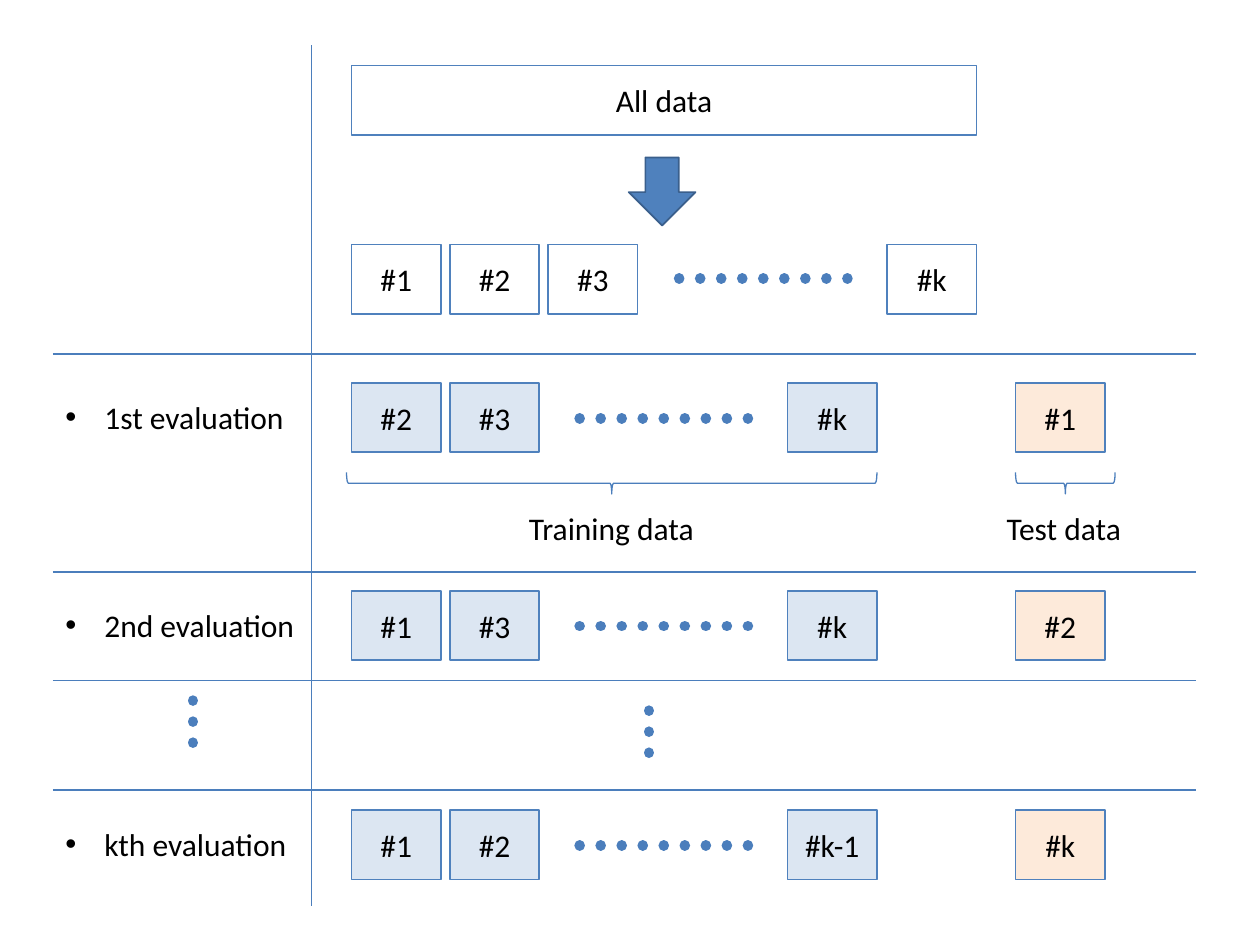
from pptx import Presentation
from pptx.dml.color import RGBColor
from pptx.enum.dml import MSO_LINE
from pptx.enum.shapes import MSO_CONNECTOR, MSO_SHAPE
from pptx.enum.text import MSO_ANCHOR, MSO_AUTO_SIZE, PP_ALIGN
from pptx.oxml.ns import qn
from pptx.util import Inches, Pt
from lxml.etree import SubElement

BLUE, RULE, BLACK, WHITE = "4F81BD", "4B7EBC", "000000", "FFFFFF"
TRAINING, TEST = "DCE6F2", "FDEADA"


def paint(color_format, hex_color):
    color_format.rgb = RGBColor.from_string(hex_color)


def write(shape, text, align=PP_ALIGN.LEFT, anchor=MSO_ANCHOR.TOP, wrap=False,
          size=18, color=BLACK, font="Calibri", bullet=False):
    frame = shape.text_frame
    frame.word_wrap = wrap
    frame.vertical_anchor = anchor
    paragraph = frame.paragraphs[0]
    paragraph.alignment = align
    run = paragraph.add_run()
    run.text = text
    run.font.size = Pt(size)
    run.font.name = font
    paint(run.font.color, color)
    if bullet:
        props = paragraph._p.get_or_add_pPr()
        props.set("marL", str(Inches(0.31)))
        props.set("indent", str(Inches(-0.31)))
        SubElement(props, qn("a:buFont")).set("typeface", "Arial")
        SubElement(props, qn("a:buChar")).set("char", "•")


prs = Presentation()
prs.slide_width, prs.slide_height = Inches(10), Inches(7.5)
shapes = prs.slides.add_slide(prs.slide_layouts[6]).shapes

row_tops = [1.94, 3.04, 4.69, 6.43]
first_x, step, box_w, box_h = 2.79, 0.78, 0.71, 0.55
last_x, test_x = 6.25, 8.06

boxes = [("All data", first_x, 0.52, 4.96, WHITE), ("#k", 7.04, row_tops[0], box_w, WHITE)]
for i, label in enumerate(["#1", "#2", "#3"]):
    boxes.append((label, first_x + i * step, row_tops[0], box_w, WHITE))

evaluations = [("1st", "#2", "#3", "#k", "#1"),
               ("2nd", "#1", "#3", "#k", "#2"),
               ("kth", "#1", "#2", "#k-1", "#k")]
captions = []
for top, (ordinal, first, second, last, test) in zip(row_tops[1:], evaluations):
    boxes += [(first, first_x, top, box_w, TRAINING),
              (second, first_x + step, top, box_w, TRAINING),
              (last, last_x, top, box_w, TRAINING),
              (test, test_x, top, box_w, TEST)]
    captions.append((f"{ordinal} evaluation", 0.42, top + 0.07, 2.1, True))

for label, x, y, width, fill in boxes:
    box = shapes.add_shape(MSO_SHAPE.RECTANGLE, Inches(x), Inches(y), Inches(width), Inches(box_h))
    box.shadow.inherit = False
    box.fill.solid()
    paint(box.fill.fore_color, fill)
    paint(box.line.color, BLUE)
    box.line.width = Pt(1)
    write(box, label, align=PP_ALIGN.CENTER, anchor=MSO_ANCHOR.MIDDLE, wrap=True)

arrow = shapes.add_shape(MSO_SHAPE.DOWN_ARROW, Inches(4.99), Inches(1.25), Inches(0.53), Inches(0.54))
arrow.shadow.inherit = False
arrow.fill.solid()
paint(arrow.fill.fore_color, BLUE)
paint(arrow.line.color, "3A5F8C")
arrow.line.width = Pt(1)

for x, y, length in [(4.77, 1.73, 4.21), (8.37, 3.44, 0.79)]:
    brace = shapes.add_shape(MSO_SHAPE.RIGHT_BRACE, Inches(x), Inches(y), Inches(0.17), Inches(length))
    brace.rotation = 90
    brace.shadow.inherit = False
    brace.fill.background()
    paint(brace.line.color, RULE)
    brace.line.width = Pt(0.75)

captions += [("Training data", 4.1, 3.99, 1.53, False), ("Test data", 7.89, 3.99, 1.12, False)]
for text, x, y, width, bullet in captions:
    caption = shapes.add_textbox(Inches(x), Inches(y), Inches(width), Inches(0.4))
    caption.text_frame.auto_size = MSO_AUTO_SIZE.SHAPE_TO_FIT_TEXT
    write(caption, text, bullet=bullet)

rules = [(0.42, y, 9.49, y, False) for y in (2.81, 4.54, 5.4, 6.27)]
rules.append((2.47, 0.36, 2.47, 7.19, False))
ellipses = [(5.39, 2.21, 6.8, 2.21, True), (5.15, 5.64, 5.15, 6.11, True), (1.53, 5.56, 1.53, 6.03, True)]
ellipses += [(4.6, top + 0.28, 6.02, top + 0.28, True) for top in row_tops[1:]]
for x1, y1, x2, y2, dotted in rules + ellipses:
    line = shapes.add_connector(MSO_CONNECTOR.STRAIGHT, Inches(x1), Inches(y1), Inches(x2), Inches(y2))
    paint(line.line.color, RULE)
    line.line.width = Pt(6 if dotted else 0.75)
    if dotted:
        line.line.dash_style = MSO_LINE.ROUND_DOT
        line.line._get_or_add_ln().set("cap", "rnd")
    SubElement(line._element.spPr, qn("a:effectLst"))

prs.save("out.pptx")
